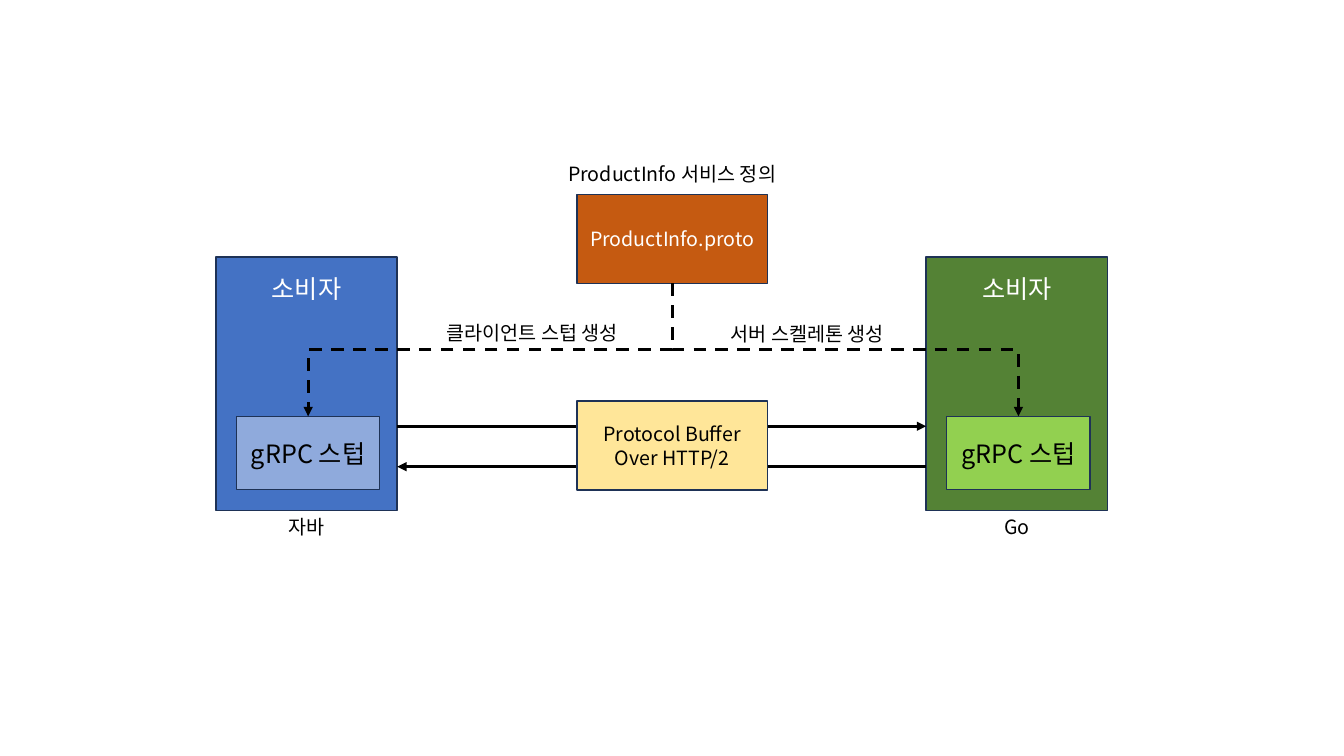
"""Build the gRPC client and server diagram slide."""
import pptx
import pptx.util
import pptx.dml.color
import pptx.enum.dml
import pptx.enum.shapes
import pptx.enum.text
import pptx.oxml
import pptx.oxml.ns

Cm, Pt = pptx.util.Cm, pptx.util.Pt
ANCHOR = pptx.enum.text.MSO_ANCHOR
CONNECTOR = pptx.enum.shapes.MSO_CONNECTOR
qn = pptx.oxml.ns.qn

FONT = "Noto Sans CJK KR"
COLORS = {
    "black": "000000", "white": "FFFFFF", "outline": "1E3256",
    "proto": "C55A11", "buffer": "FFE699",
    "client": "4472C4", "client_stub": "8FAADC",
    "server": "548235", "server_stub": "92D050",
}
SIDES = [
    {"name": "client", "left": 5.44, "title": "소비자", "stub": "gRPC 스텁", "language": "자바"},
    {"name": "server", "left": 23.34, "title": "소비자", "stub": "gRPC 스텁", "language": "Go"},
]
PROTO = "ProductInfo.proto"
PROTO_CAPTION = "ProductInfo 서비스 정의"
BUFFER = "Protocol Buffer\nOver HTTP/2"
GENERATION_LABELS = [("클라이언트 스텁 생성", 13.41, 7.95), ("서버 스켈레톤 생성", 20.35, 7.98)]

SIDE_W, SIDE_H, SIDE_TOP = 4.57, 6.38, 6.48
STUB_W, STUB_H, STUB_TOP, STUB_INSET = 3.61, 1.85, 10.49, 0.52
CARD_W, CARD_H, CARD_X = 4.8, 2.24, 16.94
PROTO_TOP, BUFFER_TOP = 4.9, 10.11
LABEL_W, LABEL_H = 6.91, 0.86
REQUEST_Y, REPLY_Y = 10.74, 11.76


def rgb(name):
    return pptx.dml.color.RGBColor.from_string(COLORS[name])


def write(sp, text, size, color):
    tf = sp.text_frame
    tf.word_wrap = True
    tf.text = text
    for p in tf.paragraphs:
        p.alignment = pptx.enum.text.PP_ALIGN.CENTER
        for r in p.runs:
            r.font.size, r.font.name = Pt(size), FONT
            r.font.color.rgb = rgb(color)
            ea = pptx.oxml.parse_xml(f'<a:ea {pptx.oxml.ns.nsdecls("a")} typeface="{FONT}"/>')
            r.font._element.find(qn("a:latin")).addnext(ea)


def add_box(s, x, y, w, h, fill, text, size, color, anchor=ANCHOR.MIDDLE):
    sp = s.shapes.add_shape(pptx.enum.shapes.MSO_SHAPE.RECTANGLE, Cm(x), Cm(y), Cm(w), Cm(h))
    sp.shadow.inherit = False
    sp.fill.solid()
    sp.fill.fore_color.rgb = rgb(fill)
    sp.line.color.rgb = rgb("outline")
    sp.line.width = Pt(1)
    write(sp, text, size, color)
    sp.text_frame.vertical_anchor = anchor
    return sp


def add_label(s, center, y, text):
    sp = s.shapes.add_textbox(Cm(center - LABEL_W / 2), Cm(y), Cm(LABEL_W), Cm(LABEL_H))
    write(sp, text, 14, "black")


def add_arrow(s, kind, x1, y1, x2, y2):
    c = s.shapes.add_connector(kind, Cm(x1), Cm(y1), Cm(x2), Cm(y2))
    c.line.color.rgb = rgb("black")
    c.line.width = Pt(2.25)
    ln = c.line._get_or_add_ln()
    ln.append(pptx.oxml.parse_xml(f'<a:tailEnd {pptx.oxml.ns.nsdecls("a")} type="triangle"/>'))
    ln.addnext(pptx.oxml.parse_xml(f'<a:effectLst {pptx.oxml.ns.nsdecls("a")}/>'))
    return c


def add_down_elbow(s, x1, y1, x2, y2):
    cx, cy = (x1 + x2) / 2, (y1 + y2) / 2
    half_w, half_h = (y2 - y1) / 2, abs(x2 - x1) / 2
    turn = 1 if x2 < x1 else -1
    c = add_arrow(s, CONNECTOR.ELBOW, cx - turn * half_w, cy - half_h, cx + turn * half_w, cy + half_h)
    c._element.spPr.find(qn("a:xfrm")).set("rot", str(turn * 90 % 360 * 60000))
    c.line.dash_style = pptx.enum.dml.MSO_LINE.DASH


def main():
    prs = pptx.Presentation()
    prs.slide_width, prs.slide_height = Cm(33.87), Cm(19.05)
    s = prs.slides.add_slide(prs.slide_layouts[6])
    card_left = CARD_X - CARD_W / 2

    add_box(s, card_left, PROTO_TOP, CARD_W, CARD_H, "proto", PROTO, 14, "white")
    add_label(s, CARD_X, 3.96, PROTO_CAPTION)

    for side in SIDES:
        left, name = side["left"], side["name"]
        sp = add_box(s, left, SIDE_TOP, SIDE_W, SIDE_H, name, side["title"], 18, "white", ANCHOR.TOP)
        sp.text_frame.margin_top = Cm(0.41)
        add_box(s, left + STUB_INSET, STUB_TOP, STUB_W, STUB_H, f"{name}_stub", side["stub"], 18, "black")
        add_label(s, left + SIDE_W / 2, SIDE_TOP + SIDE_H, side["language"])

    client_edge, server_edge = SIDES[0]["left"] + SIDE_W, SIDES[1]["left"]
    add_arrow(s, CONNECTOR.STRAIGHT, client_edge, REQUEST_Y, server_edge, REQUEST_Y)
    add_arrow(s, CONNECTOR.STRAIGHT, server_edge, REPLY_Y, client_edge, REPLY_Y)
    add_box(s, card_left, BUFFER_TOP, CARD_W, CARD_H, "buffer", BUFFER, 14, "black")

    for side in reversed(SIDES):
        stub_x = side["left"] + STUB_INSET + STUB_W / 2
        add_down_elbow(s, CARD_X, PROTO_TOP + CARD_H, stub_x, STUB_TOP)
    for text, center, y in GENERATION_LABELS:
        add_label(s, center, y, text)

    prs.save("out.pptx")


if __name__ == "__main__":
    main()
